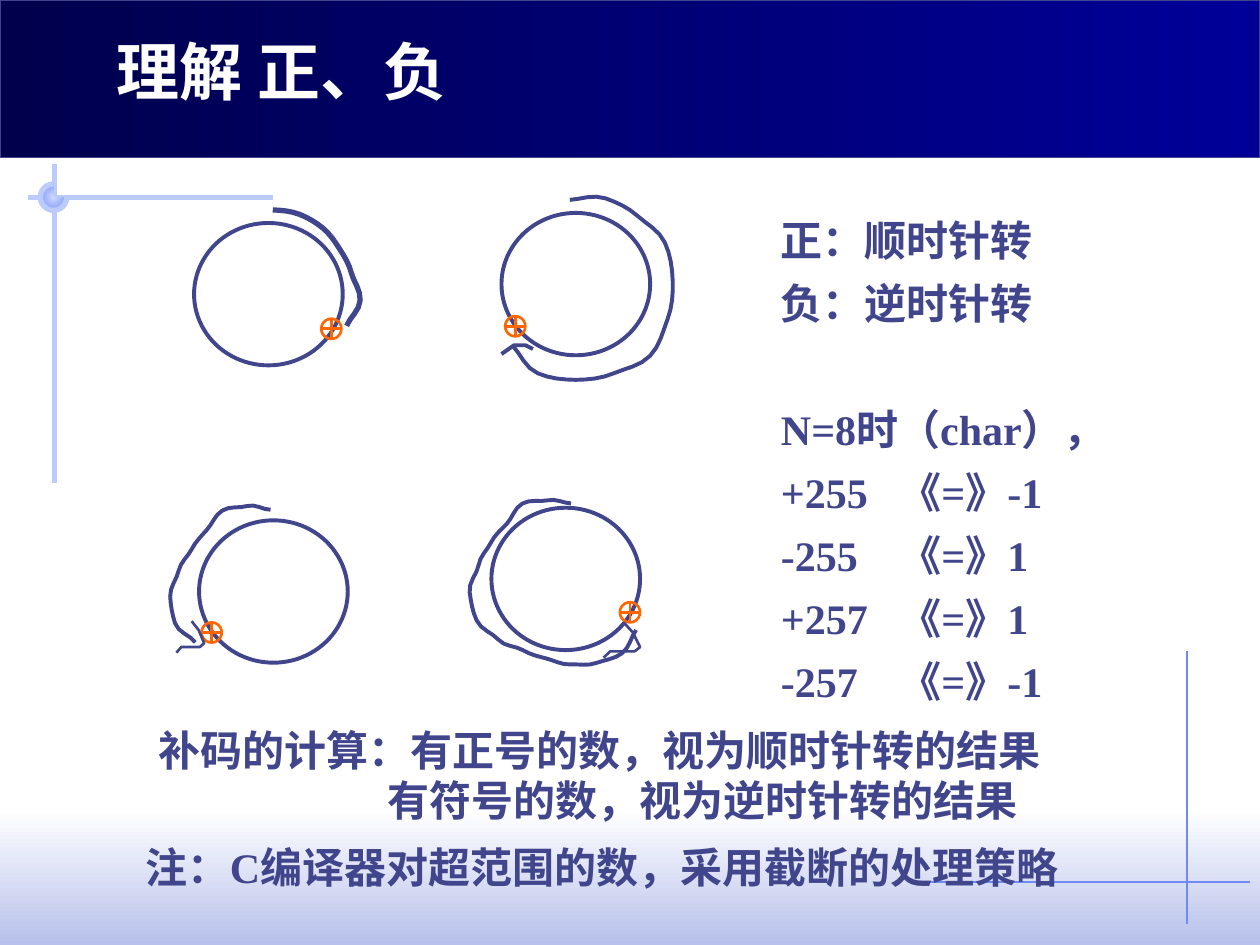
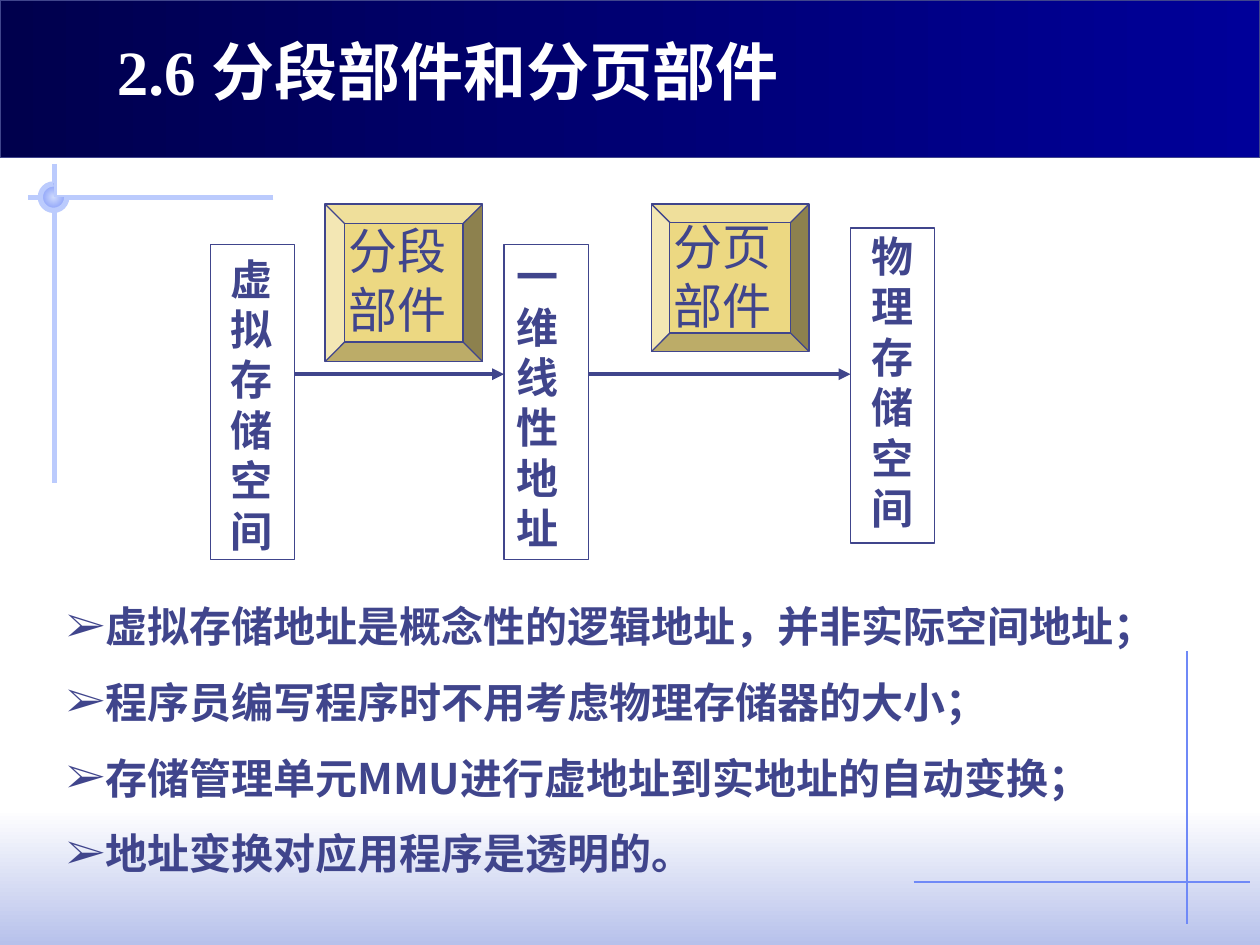
"""Build two lecture slides: signed numbers on a circle, and segment and page units."""
import math

import pptx
import pptx.dml.color
import pptx.enum.shapes
import pptx.oxml.ns
import pptx.util
from lxml import etree
from pptx.util import Inches

RGBColor = pptx.dml.color.RGBColor
SHAPE = pptx.enum.shapes.MSO_SHAPE
STRAIGHT = pptx.enum.shapes.MSO_CONNECTOR.STRAIGHT
qn = pptx.oxml.ns.qn

WHITE = RGBColor(0xFF, 0xFF, 0xFF)
INK = RGBColor(0x40, 0x45, 0x8C)
ORANGE = RGBColor(0xFF, 0x66, 0x00)
GOLD = RGBColor(0xEC, 0xD8, 0x82)
HAZE = RGBColor(0xB7, 0xC1, 0xEB)
PALE_BLUE = RGBColor(0xCF, 0xDB, 0xFD)
SOFT_BLUE = RGBColor(0xBB, 0xCB, 0xFD)
CLEAR_BLUE = RGBColor(0x6F, 0x89, 0xF7)
BAND_DARK = RGBColor(0x00, 0x00, 0x4D)
BAND_LIGHT = RGBColor(0x00, 0x00, 0x99)
SERIF = "Times New Roman"
SANS = "Noto Sans CJK SC"


def draw_outline(shape, color=None, width=0.75):
    if color is None:
        shape.line.fill.background()
    else:
        shape.line.color.rgb = color
        shape.line.width = pptx.util.Pt(width)
    etree.SubElement(shape._element.spPr, qn("a:effectLst"))


def add_text(slide, box, lines, size=24, color=INK, bold=True, font=SERIF,
             spacing=1.0, bullet=None, tab=None):
    frame = slide.shapes.add_textbox(*map(Inches, box)).text_frame
    frame.word_wrap = True
    for index, line in enumerate(lines):
        paragraph = frame.paragraphs[0] if index == 0 else frame.add_paragraph()
        paragraph.line_spacing = spacing
        properties = paragraph._p.get_or_add_pPr()
        if bullet:
            properties.set("marL", str(Inches(0.29)))
            properties.set("indent", str(-Inches(0.29)))
            etree.SubElement(properties, qn("a:buFont"), typeface=SERIF)
            etree.SubElement(properties, qn("a:buChar"), char=bullet)
        if tab:
            tabs = etree.SubElement(properties, qn("a:tabLst"))
            etree.SubElement(tabs, qn("a:tab"), pos=str(Inches(tab)), algn="l")
        run = paragraph.add_run()
        run.text = line
        run.font.size = pptx.util.Pt(size)
        run.font.bold = bold
        run.font.name = font
        run.font.color.rgb = color
        etree.SubElement(run._r.get_or_add_rPr(), qn("a:ea"), typeface=SANS)
    return frame


presentation = pptx.Presentation()
presentation.slide_width = Inches(10)
presentation.slide_height = Inches(7.5)

DOT = (0.32, 1.46, 0.21, 0.21)
CORNER_LINES = [
    ((9.42, 5.17, 9.42, 7.33), CLEAR_BLUE, 0.75),
    ((7.25, 7, 9.92, 7), CLEAR_BLUE, 0.75),
    ((2.17, 1.57, 0.22, 1.57), SOFT_BLUE, 3),
    ((0.43, 1.3, 0.43, 3.83), SOFT_BLUE, 3),
]
GRADIENT_PARTS = [
    (SHAPE.PIE, DOT, PALE_BLUE, CLEAR_BLUE, None, None),
    (SHAPE.RECTANGLE, (0, 0, 10, 1.25), BAND_DARK, BAND_LIGHT, 0, INK),
    (SHAPE.RECTANGLE, (0, 6.42, 10, 1.08), WHITE, HAZE, 270, None),
]

for title in ("理解 正、负", "2.6 分段部件和分页部件"):
    slide = presentation.slides.add_slide(presentation.slide_layouts[6])
    for ends, color, width in CORNER_LINES:
        draw_outline(slide.shapes.add_connector(STRAIGHT, *map(Inches, ends)), color, width)
    for kind, box, first, last, angle, edge in GRADIENT_PARTS:
        shape = slide.shapes.add_shape(kind, *map(Inches, box))
        shape.fill.gradient()
        for stop, color in zip(shape.fill.gradient_stops, (first, last)):
            stop.color.rgb = color
        if angle is None:
            linear = shape._element.spPr.find(qn("a:gradFill")).find(qn("a:lin"))
            radial = etree.Element(qn("a:path"), path="circle")
            etree.SubElement(radial, qn("a:fillToRect"),
                             l="50000", t="50000", r="50000", b="50000")
            linear.getparent().replace(linear, radial)
        else:
            shape.fill.gradient_angle = angle
        draw_outline(shape, edge)
    haze = shape
    slide.shapes._spTree.insert(2, haze._element)
    ring = slide.shapes.add_shape(SHAPE.ARC, *map(Inches, DOT))
    ring.adjustments[0] = 0
    ring.adjustments[1] = 162
    ring.fill.background()
    draw_outline(ring, SOFT_BLUE, 3)
    add_text(slide, (0.83, 0.21, 7.24, 0.71), [title], size=36, color=WHITE)

circle_slide, memory_slide = presentation.slides

# Each dial: corner, result mark, start and end angle clockwise from the top,
# line width, and the turn's radii at equal angles in between.
DIAL_SIZE = (1.18, 1.13)
MARK_SIZE = (0.16, 0.16)
DIALS = [
    ((1.54, 1.77), (2.55, 2.53), 3, 112, 3,
     (0.67, 0.68, 0.68, 0.67, 0.68, 0.73, 0.67)),
    ((3.98, 1.69), (4.01, 2.51), -4, 226, 2.25,
     (0.67, 0.72, 0.73, 0.78, 0.77, 0.78, 0.82, 0.77, 0.76, 0.77, 0.70)),
    ((1.58, 4.13), (1.6, 4.94), -2, -123, 2.25,
     (0.65, 0.71, 0.76, 0.72, 0.73, 0.77, 0.82, 0.82, 0.74)),
    ((3.9, 4.03), (4.92, 4.78), 4, -234, 2.25,
     (0.60, 0.64, 0.69, 0.64, 0.66, 0.70, 0.77, 0.78, 0.72, 0.66, 0.65, 0.68,
      0.71, 0.74, 0.69)),
]
STEPS_PER_RADIUS = 4
strokes = []
for corner, mark, start, end, turn_width, radii in DIALS:
    for kind, place, size, color, width in (
            (SHAPE.OVAL, corner, DIAL_SIZE, INK, 2.25),
            (SHAPE.FLOWCHART_OR, mark, MARK_SIZE, ORANGE, 1.5)):
        shape = circle_slide.shapes.add_shape(kind, *map(Inches, place + size))
        shape.fill.background()
        draw_outline(shape, color, width)
    center_x, center_y = (side + length / 2 for side, length in zip(corner, DIAL_SIZE))
    step_count = (len(radii) - 1) * STEPS_PER_RADIUS
    turn = []
    for step in range(step_count + 1):
        index, part = divmod(step, STEPS_PER_RADIUS)
        following = radii[min(index + 1, len(radii) - 1)]
        ease = (1 - math.cos(math.pi * part / STEPS_PER_RADIUS)) / 2
        radius = radii[index] + (following - radii[index]) * ease
        angle = math.radians(start + (end - start) * step / step_count)
        turn.append((center_x + radius * math.sin(angle),
                     center_y - radius * math.cos(angle)))
    strokes.append((turn, turn_width))

CLOCKWISE_TIP = [(3.98, 2.81), (4.08, 2.74), (4.17, 2.74), (4.23, 2.77)]
strokes.append((CLOCKWISE_TIP, 2.25))
HOOK = [(0.55, 0), (0.8, 0.28), (1, 0.7), (0.85, 0.82), (0.18, 0.82), (0, 1)]
for left, top, width, height in ((1.4, 4.93, 0.22, 0.25), (4.79, 4.94, 0.29, 0.28)):
    strokes.append(([(left + x * width, top + y * height) for x, y in HOOK], 1.5))

for points, width in strokes:
    first, *others = [(Inches(x), Inches(y)) for x, y in points]
    builder = circle_slide.shapes.build_freeform(*first)
    builder.add_line_segments(others, close=False)
    stroke = builder.convert_to_shape()
    stroke.fill.background()
    draw_outline(stroke, INK, width)

EQUAL_VALUES = [("+255", "-1"), ("-255", "1"), ("+257", "1"), ("-257", "-1")]
rules = add_text(
    circle_slide, (6.1, 1.55, 2.9, 4.09),
    ["正：顺时针转", "负：逆时针转", "N=8时（char），"]
    + [f"{number}\t《=》{stored}" for number, stored in EQUAL_VALUES],
    spacing=1.25, tab=0.94)
rules.paragraphs[2].space_before = pptx.util.Pt(36)
method = add_text(circle_slide, (1.16, 5.7, 7.24, 0.91), [
    "补码的计算：有正号的数，视为顺时针转的结果",
    "有符号的数，视为逆时针转的结果"])
second_line = method.paragraphs[1]._p.get_or_add_pPr()
second_line.set("marL", str(Inches(1.82)))
second_line.set("indent", "0")
add_text(circle_slide, (1.06, 6.63, 8.43, 0.5),
         ["注：C编译器对超范围的数，采用截断的处理策略"])

COLUMN_WIDTH, COLUMN_HEIGHT = 0.67, 2.5
SPACES = [
    (1.67, 1.94, "虚拟存储空间", (1.73, 1.96, 0.6, 2.5)),
    (4, 1.94, "一维线性地址", (4, 1.94, 0.68, 2.5)),
    (6.75, 1.81, "物理存储空间", (6.82, 1.78, 0.6, 2.5)),
]
UNITS = [
    ((2.58, 1.62, 1.25, 1.25), "分段部件", (2.67, 1.7, 1.02, 1.03)),
    ((5.17, 1.62, 1.25, 1.17), "分页部件", (5.25, 1.67, 1.1, 1.03)),
]
blocks = [(SHAPE.BEVEL, box, GOLD, label, label_box, 28, False)
          for box, label, label_box in UNITS]
blocks += [(SHAPE.RECTANGLE, (left, top, COLUMN_WIDTH, COLUMN_HEIGHT), WHITE,
            label, label_box, 24, True)
           for left, top, label, label_box in SPACES]
for kind, box, color, label, label_box, size, bold in blocks:
    block = memory_slide.shapes.add_shape(kind, *map(Inches, box))
    block.fill.solid()
    block.fill.fore_color.rgb = color
    draw_outline(block, INK)
    add_text(memory_slide, label_box, [label], size=size, bold=bold)

ARROW_TOP = 2.97
for source, target in zip(SPACES, SPACES[1:]):
    arrow = memory_slide.shapes.add_connector(
        STRAIGHT, Inches(source[0] + COLUMN_WIDTH), Inches(ARROW_TOP),
        Inches(target[0]), Inches(ARROW_TOP))
    draw_outline(arrow, INK, 2.25)
    etree.SubElement(arrow.line._get_or_add_ln(), qn("a:tailEnd"), type="triangle")

add_text(memory_slide, (0.43, 4.52, 9.06, 2.45), [
    "虚拟存储地址是概念性的逻辑地址，并非实际空间地址；",
    "程序员编写程序时不用考虑物理存储器的大小；",
    "存储管理单元MMU进行虚地址到实地址的自动变换；",
    "地址变换对应用程序是透明的。",
], font=SANS, spacing=1.5, bullet="➢")

presentation.save("out.pptx")
